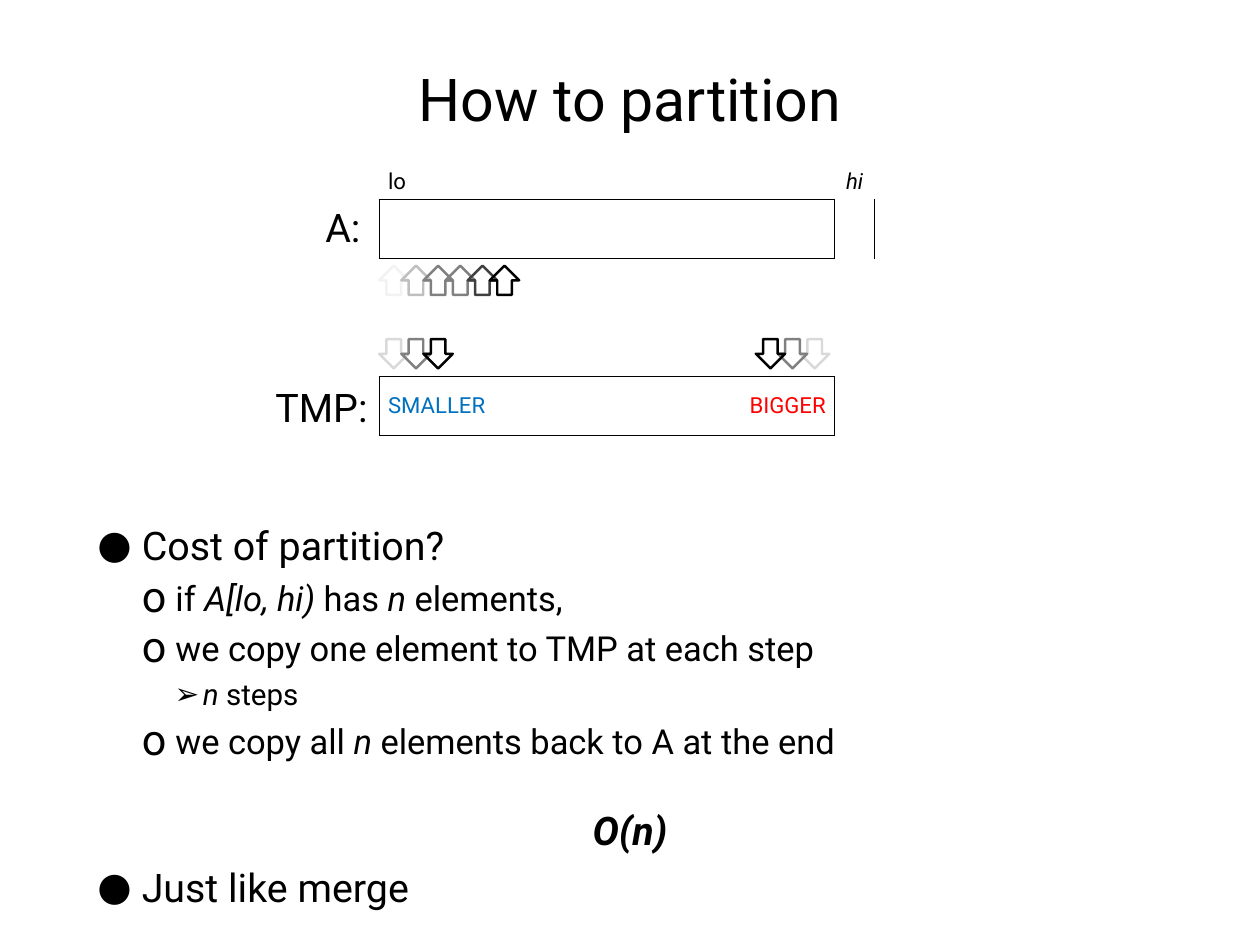
from pptx import Presentation
from pptx.dml.color import RGBColor
from pptx.enum.shapes import MSO_SHAPE
from pptx.enum.text import MSO_ANCHOR, MSO_AUTO_SIZE, PP_ALIGN
from pptx.oxml.ns import qn
from pptx.util import Inches, Pt
from lxml import etree

UP, DOWN = MSO_SHAPE.UP_ARROW, MSO_SHAPE.DOWN_ARROW
MIDDLE, BOTTOM, TOP = MSO_ANCHOR.MIDDLE, MSO_ANCHOR.BOTTOM, MSO_ANCHOR.TOP
LEFT, CENTER, RIGHT = PP_ALIGN.LEFT, PP_ALIGN.CENTER, PP_ALIGN.RIGHT
FONT, BLACK, BLUE, RED = "Roboto", "000000", "0070C0", "FF0000"
NO_STYLE = "{2D5ABB26-0587-4C30-8999-92F81FD0307C}"

# Content: runs wrapped in * are italic
TITLE = "How to partition"
BODY = [  # style, space before, text
    ("point", 0, "Cost of partition?"),
    ("detail", 7, "if *A[lo, hi) *has *n* elements,"),
    ("detail", 7, "we copy one element to TMP at each step"),
    ("step", 6, "*n* steps"),
    ("detail", 7, "we copy all *n* elements back to A at the end"),
    ("result", 36, "*O(n)*"),
    ("point", 8, "Just like merge"),
]
STYLES = {  # level, size, margin, hanging indent, bullet, bullet size %
    "point": (0, 32, 0.5, 0.5, "●", 100),
    "detail": (1, 28, 0.88, 0.38, "o", 125),
    "step": (2, 24, 1.19, 0.32, "➢", 100),
    "result": (0, 32, 0, 0, None, 100),
}
LABELS = [  # text, left, top, width, alignment
    ("A:", 3.53, 2.23, 0.68, CENTER),
    ("TMP:", 2.86, 4.27, 1.35, RIGHT),
]
ARRAY_LEFT, ARROW_SIZE, ARROW_STEP = 4.28, 0.33, 0.25
ROWS = (0.5, 0.67)
ARRAYS = [  # top, column widths, merged, cells: (row, column, text, colour, alignment)
    (1.75, (2.58, 2.56, 0.45), True,
     [(0, 0, "lo", BLACK, LEFT), (0, 2, "*hi*", BLACK, CENTER)]),
    (3.75, (2.67, 2.47, 0.45), False,
     [(1, 0, "SMALLER", BLUE, LEFT), (1, 1, "BIGGER", RED, RIGHT)]),
]
ARROWS = [  # shape, first left, top, step, colours from faded to current
    (UP, ARRAY_LEFT, 3, ARROW_STEP,
     ("F2F2F2", "BFBFBF", "808080", "808080", "404040", BLACK)),
    (DOWN, ARRAY_LEFT, 3.83, ARROW_STEP, ("D9D9D9", "808080", BLACK)),
    (DOWN, 9.03, 3.83, -ARROW_STEP, ("D9D9D9", "808080", BLACK)),
]


def color(value):
    return RGBColor.from_string(value)


def write(para, text, size, shade=BLACK, align=LEFT, bold=False):
    para.alignment = align
    for index, part in enumerate(text.split("*")):
        if part:
            span = para.add_run()
            span.text = part
            span.font.name, span.font.size = FONT, Pt(size)
            span.font.color.rgb = color(shade)
            span.font.italic, span.font.bold = index % 2 == 1, bold


def set_frame(shape, anchor):
    frame = shape.text_frame
    frame.word_wrap, frame.auto_size = True, MSO_AUTO_SIZE.NONE
    frame.vertical_anchor = anchor
    frame.margin_left = frame.margin_right = Inches(0.06)
    frame.margin_top = frame.margin_bottom = Inches(0.06)
    return frame


def place(shape, left, top, width, height):
    shape.left, shape.top = Inches(left), Inches(top)
    shape.width, shape.height = Inches(width), Inches(height)


def set_bullet(para, margin, hanging, bullet, percent):
    props = para._p.get_or_add_pPr()
    props.set("marL", str(Inches(margin)))
    props.set("indent", str(-Inches(hanging)))
    if bullet is None:
        etree.SubElement(props, qn("a:buNone"))
        return
    etree.SubElement(props, qn("a:buSzPct")).set("val", str(percent * 1000))
    etree.SubElement(props, qn("a:buFont")).set("typeface", FONT)
    etree.SubElement(props, qn("a:buChar")).set("char", bullet)


def set_borders(cell, sides):
    props = cell._tc.get_or_add_tcPr()
    for position, side in enumerate(s for s in "LRTB" if s in sides):
        line = etree.Element(qn("a:ln" + side), w=str(Pt(1)))
        fill = etree.SubElement(line, qn("a:solidFill"))
        etree.SubElement(fill, qn("a:srgbClr")).set("val", BLACK)
        props.insert(position, line)


def add_array(page, top, widths, merged, cells):
    frame = page.shapes.add_table(2, 3, Inches(ARRAY_LEFT), Inches(top),
                                  Inches(sum(widths)), Inches(sum(ROWS)))
    table = frame.table
    table.first_row = table.horz_banding = False
    table._tbl.tblPr.find(qn("a:tableStyleId")).text = NO_STYLE
    for column, width in zip(table.columns, widths):
        column.width = Inches(width)
    for row, height in zip(table.rows, ROWS):
        row.height = Inches(height)
    if merged:
        table.cell(1, 0).merge(table.cell(1, 1))
    borders = [["B", "B", ""], ["LTRB" if merged else "LTB", "TRB", "L"]]
    for r, sides_in_row in enumerate(borders):
        for c, sides in enumerate(sides_in_row):
            cell = table.cell(r, c)
            cell.fill.background()
            cell.vertical_anchor = (BOTTOM, MIDDLE)[r]
            set_borders(cell, sides)
    for r, c, text, shade, align in cells:
        write(table.cell(r, c).text_frame.paragraphs[0], text, 18, shade, align)


deck = Presentation()
deck.slide_width, deck.slide_height = Inches(14.22), Inches(10.67)
page = deck.slides.add_slide(deck.slide_layouts[1])

# Title and list
title, body = page.placeholders
place(title, 1.04, 0.28, 12.14, 1.64)
write(set_frame(title, MIDDLE).paragraphs[0], TITLE, 48, align=CENTER)
place(body, 1.04, 5.83, 12.14, 4.58)
frame = set_frame(body, TOP)
for number, (style, before, text) in enumerate(BODY):
    level, size, *bullet = STYLES[style]
    para = frame.add_paragraph() if number else frame.paragraphs[0]
    para.level = level
    set_bullet(para, *bullet)
    para.space_before = Pt(before)
    is_result = style == "result"
    write(para, text, size, align=CENTER if is_result else LEFT, bold=is_result)

# Array labels
for text, left, top, width, align in LABELS:
    box = page.shapes.add_textbox(Inches(left), Inches(top), Inches(width), Inches(0.65))
    write(set_frame(box, MIDDLE).paragraphs[0], text, 32, align=align)

# Arrays
for array in ARRAYS:
    add_array(page, *array)

# Cursor arrows
for kind, left, top, step, shades in ARROWS:
    for index, shade in enumerate(shades):
        arrow = page.shapes.add_shape(kind, Inches(left + index * step), Inches(top),
                                      Inches(ARROW_SIZE), Inches(ARROW_SIZE))
        arrow.shadow.inherit = False
        arrow.fill.background()
        arrow.line.color.rgb = color(shade)
        arrow.line.width = Pt(2)

deck.save("out.pptx")
